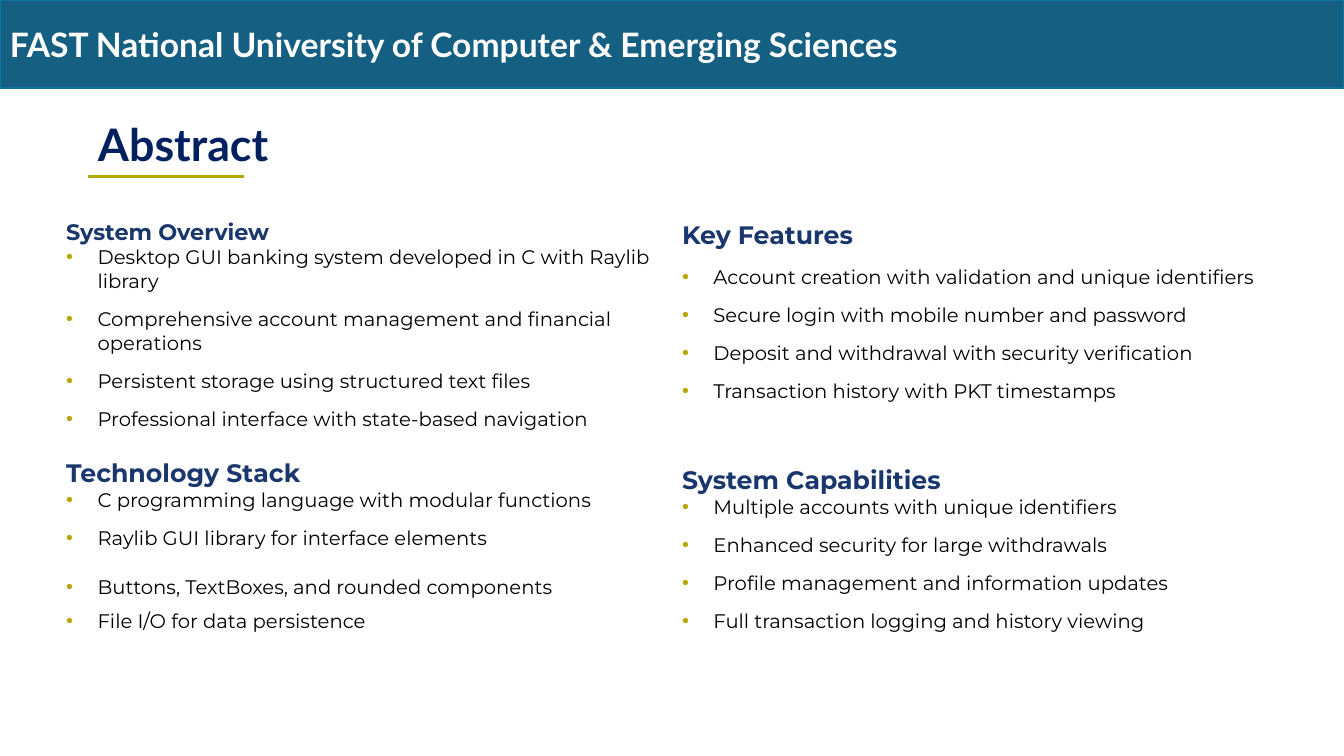
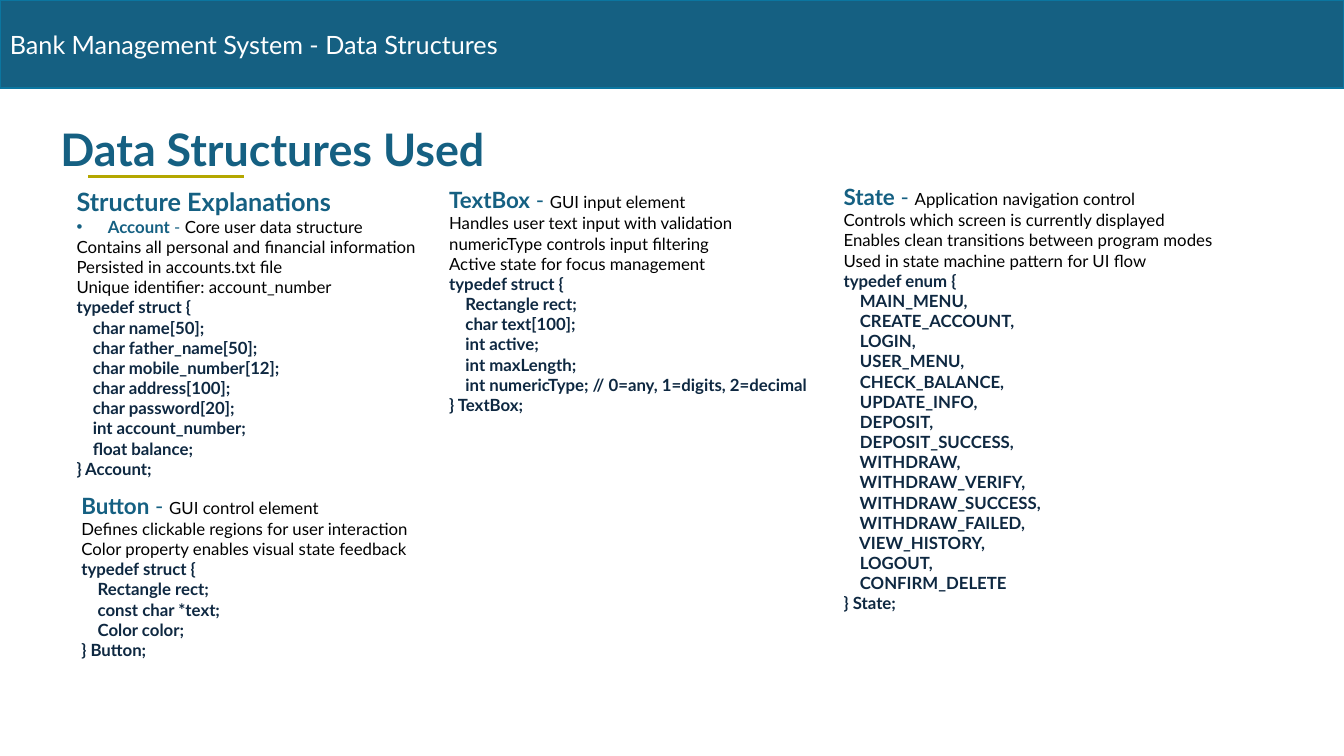
from dataclasses import dataclass

from lxml import etree
from pptx import Presentation
from pptx.dml.color import RGBColor
from pptx.enum.shapes import MSO_CONNECTOR, MSO_SHAPE
from pptx.enum.text import MSO_ANCHOR, PP_ALIGN
from pptx.oxml.ns import qn
from pptx.util import Cm, Pt

RECTANGLE = MSO_SHAPE.RECTANGLE
STRAIGHT = MSO_CONNECTOR.STRAIGHT
TOP, MIDDLE, BOTTOM = MSO_ANCHOR.TOP, MSO_ANCHOR.MIDDLE, MSO_ANCHOR.BOTTOM
LEFT, CENTER = PP_ALIGN.LEFT, PP_ALIGN.CENTER

# Shared style
LATO, MONTSERRAT = "Lato", "Montserrat"
TEAL, TEAL_EDGE, OLIVE = "156082", "0B76A0", "B4A700"
NAVY, HEADING_BLUE, CODE_BLUE = "002060", "19376D", "0E2841"
BLACK, WHITE = "000000", "FFFFFF"
PAGE_WIDTH, PAGE_HEIGHT, BAND_HEIGHT = 33.87, 19.05, 2.22
RULE_LEFT, RULE_RIGHT, RULE_TOP = 2.22, 6.15, 4.45
BULLET_INDENT = 0.79
BULLET_GAP = 10.5


@dataclass(frozen=True)
class Area:
    left: float
    top: float
    width: float
    height: float


@dataclass(frozen=True)
class Style:
    size: float
    color: str
    bold: bool = False
    font: str = LATO


@dataclass(frozen=True)
class Item:
    text: str
    before: float = 0
    after: float = BULLET_GAP


@dataclass(frozen=True)
class Topic:
    area: Area
    heading: str
    items: tuple[Item, ...]
    size: float = 18
    heading_gap: float = 0


@dataclass(frozen=True)
class Structure:
    area: Area
    name: str
    role: str
    notes: tuple[str, ...]
    opening: str
    members: tuple[str, ...]
    heading: str = ""


NOTE = Style(12, BLACK)
CODE = Style(12, CODE_BLUE, True)
ITEM = Style(14, BLACK, font=MONTSERRAT)

TOPICS = (
    Topic(Area(1.42, 5.38, 15.52, 5.72), "System Overview", (
        Item("Desktop GUI banking system developed in C with Raylib library"),
        Item("Comprehensive account management and financial operations"),
        Item("Persistent storage using structured text files"),
        Item("Professional interface with state-based navigation"),
    ), size=16),
    Topic(Area(16.94, 5.41, 16.59, 6.15), "Key Features", (
        Item("Account creation with validation and unique identifiers"),
        Item("Secure login with mobile number and password"),
        Item("Deposit and withdrawal with security verification"),
        Item("Transaction history with PKT timestamps"),
    ), heading_gap=BULLET_GAP),
    Topic(Area(1.42, 11.4, 14.94, 4.78), "Technology Stack", (
        Item("C programming language with modular functions"),
        Item("Raylib GUI library for interface elements"),
        Item("Buttons, TextBoxes, and rounded components", 7.5, 7.5),
        Item("File I/O for data persistence"),
    )),
    Topic(Area(16.94, 11.58, 16.59, 4.6), "System Capabilities", (
        Item("Multiple accounts with unique identifiers"),
        Item("Enhanced security for large withdrawals"),
        Item("Profile management and information updates"),
        Item("Full transaction logging and history viewing"),
    )),
)

STRUCTURES = (
    Structure(
        Area(1.68, 4.57, 9.4, 7.7), "Account", "Core user data structure",
        ("Contains all personal and financial information",
         "Persisted in accounts.txt file",
         "Unique identifier: account_number"),
        "typedef struct {",
        ("char name[50];", "char father_name[50];", "char mobile_number[12];",
         "char address[100];", "char password[20];", "int account_number;",
         "float balance;"),
        heading="Structure Explanations"),
    Structure(
        Area(1.8, 12.27, 11.2, 4.52), "Button", "GUI control element",
        ("Defines clickable regions for user interaction",
         "Color property enables visual state feedback"),
        "typedef struct {",
        ("Rectangle rect;", "const char *text;", "Color color;")),
    Structure(
        Area(11.07, 4.57, 9.9, 6.07), "TextBox", "GUI input element",
        ("Handles user text input with validation",
         "numericType controls input filtering",
         "Active state for focus management"),
        "typedef struct {",
        ("Rectangle rect;", "char text[100];", "int active;", "int maxLength;",
         "int numericType; // 0=any, 1=digits, 2=decimal")),
    Structure(
        Area(21.01, 4.49, 12.85, 11.9), "State", "Application navigation control",
        ("Controls which screen is currently displayed",
         "Enables clean transitions between program modes",
         "Used in state machine pattern for UI flow"),
        "typedef enum {",
        ("MAIN_MENU,", "CREATE_ACCOUNT,", "LOGIN,", "USER_MENU,",
         "CHECK_BALANCE,", "UPDATE_INFO,", "DEPOSIT,", "DEPOSIT_SUCCESS,",
         "WITHDRAW,", "WITHDRAW_VERIFY,", "WITHDRAW_SUCCESS,",
         "WITHDRAW_FAILED,", "VIEW_HISTORY,", "LOGOUT,", "CONFIRM_DELETE")),
)


def rgb(color: str) -> RGBColor:
    return RGBColor.from_string(color)


# Text helpers
def add_box(page, area: Area, anchor=TOP):
    box = page.shapes.add_textbox(
        Cm(area.left), Cm(area.top), Cm(area.width), Cm(area.height))
    frame = box.text_frame
    frame.word_wrap = True
    frame.vertical_anchor = anchor
    return frame


def add_para(frame, *spans: tuple[str, Style], before: float = 0, after: float = 0):
    first = frame.paragraphs[0]
    para = frame.add_paragraph() if first.runs else first
    para.alignment = LEFT
    para.space_before, para.space_after = Pt(before), Pt(after)
    for text, style in spans:
        span = para.add_run()
        span.text = text
        span.font.name = style.font
        span.font.size = Pt(style.size)
        span.font.bold = style.bold
        span.font.color.rgb = rgb(style.color)
    return para


def add_bullet(para, color: str) -> None:
    properties = para._p.get_or_add_pPr()
    properties.set("marL", str(Cm(BULLET_INDENT)))
    properties.set("indent", str(-Cm(BULLET_INDENT)))
    bullet_color = etree.SubElement(properties, qn("a:buClr"))
    etree.SubElement(bullet_color, qn("a:srgbClr"), val=color)
    etree.SubElement(properties, qn("a:buFont"), typeface="Arial")
    etree.SubElement(properties, qn("a:buChar"), char="•")


# Shared page parts
def add_page(deck, band_text: str, band_style: Style):
    page = deck.slides.add_slide(deck.slide_layouts[6])
    band = page.shapes.add_shape(
        RECTANGLE, 0, 0, Cm(PAGE_WIDTH), Cm(BAND_HEIGHT))
    band.shadow.inherit = False
    band.fill.solid()
    band.fill.fore_color.rgb = rgb(TEAL)
    band.line.color.rgb = rgb(TEAL_EDGE)
    band.line.width = Pt(1.5)
    band.text_frame.vertical_anchor = MIDDLE
    add_para(band.text_frame, (band_text, band_style))

    rule = page.shapes.add_connector(
        STRAIGHT, Cm(RULE_LEFT), Cm(RULE_TOP), Cm(RULE_RIGHT), Cm(RULE_TOP))
    rule.line.color.rgb = rgb(OLIVE)
    rule.line.width = Pt(2)
    etree.SubElement(rule._element.spPr, qn("a:effectLst"))
    return page


def add_title(page, text: str, area: Area, color: str, alignment=LEFT) -> None:
    para = add_para(add_box(page, area, BOTTOM), (text, Style(32, color, True)))
    para.line_spacing = 0.9
    para.alignment = alignment


# Content blocks
def add_topic(page, topic: Topic) -> None:
    frame = add_box(page, topic.area)
    heading_style = Style(topic.size, HEADING_BLUE, True, MONTSERRAT)
    add_para(frame, (topic.heading, heading_style), after=topic.heading_gap)
    for item in topic.items:
        para = add_para(
            frame, (item.text, ITEM), before=item.before, after=item.after)
        add_bullet(para, OLIVE)


def add_structure(page, structure: Structure) -> None:
    frame = add_box(page, structure.area)
    name_size = 12 if structure.heading else 16
    if structure.heading:
        add_para(frame, (structure.heading, Style(18, TEAL, True)))
    lead = add_para(
        frame,
        (structure.name, Style(name_size, TEAL, True)),
        (" - ", Style(name_size, TEAL)),
        (structure.role, NOTE))
    if structure.heading:
        add_bullet(lead, TEAL)
    for note in structure.notes:
        add_para(frame, (note, NOTE))
    members = [f"    {member}" for member in structure.members]
    for line in (structure.opening, *members, f"}} {structure.name};"):
        add_para(frame, (line, CODE))


def main() -> None:
    deck = Presentation()
    deck.slide_width, deck.slide_height = Cm(PAGE_WIDTH), Cm(PAGE_HEIGHT)

    # Abstract
    page = add_page(
        deck, "FAST National University of Computer & Emerging Sciences",
        Style(24, WHITE, True))
    add_title(page, "Abstract", Area(2.22, 2.22, 19.3, 2.22), NAVY)
    for topic in TOPICS:
        add_topic(page, topic)

    # Data structures
    page = add_page(
        deck, "Bank Management System - Data Structures", Style(18, WHITE))
    add_title(
        page, "Data Structures Used", Area(1.14, 3.05, 11.46, 1.52), TEAL, CENTER)
    for structure in STRUCTURES:
        add_structure(page, structure)

    deck.save("out.pptx")


if __name__ == "__main__":
    main()
